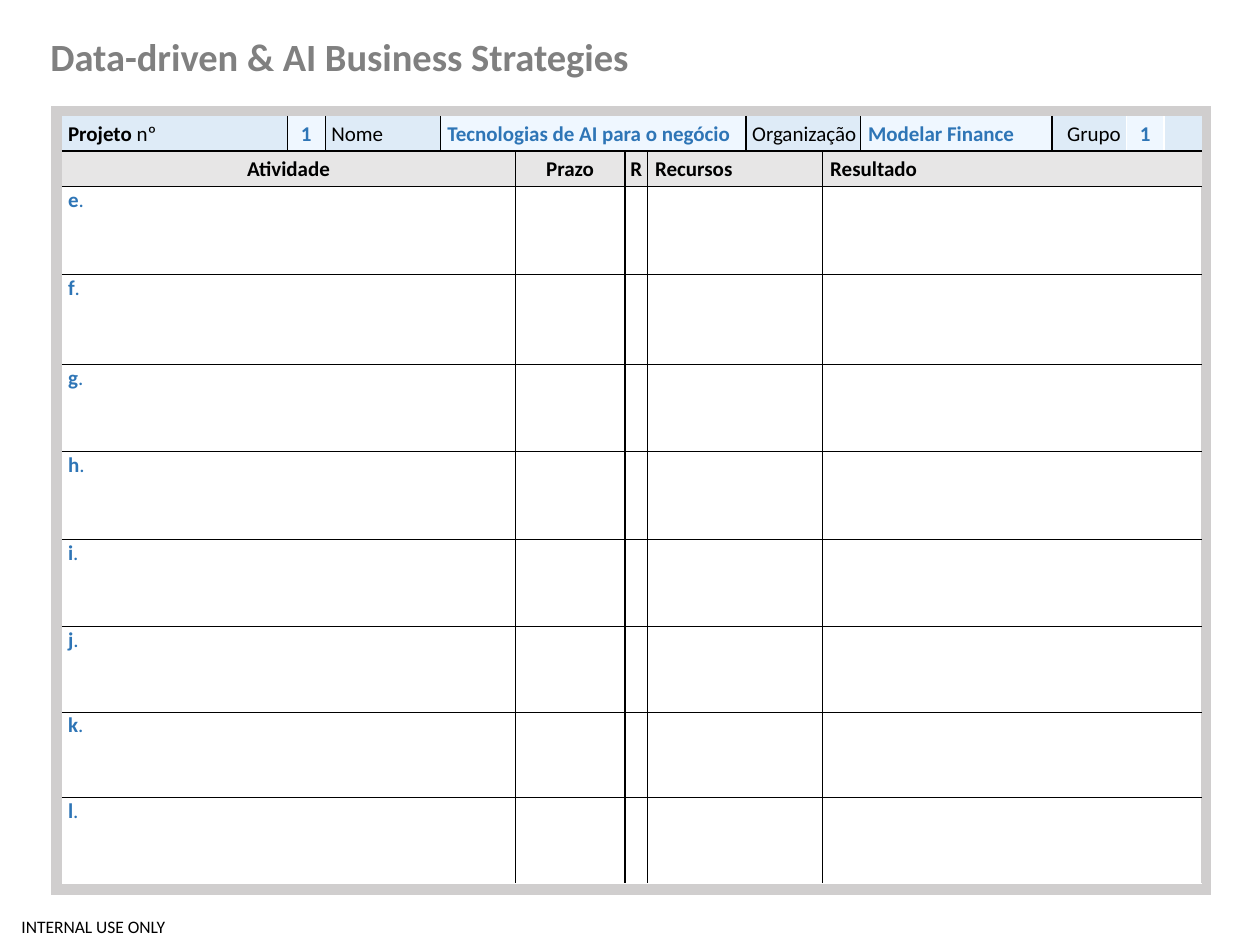
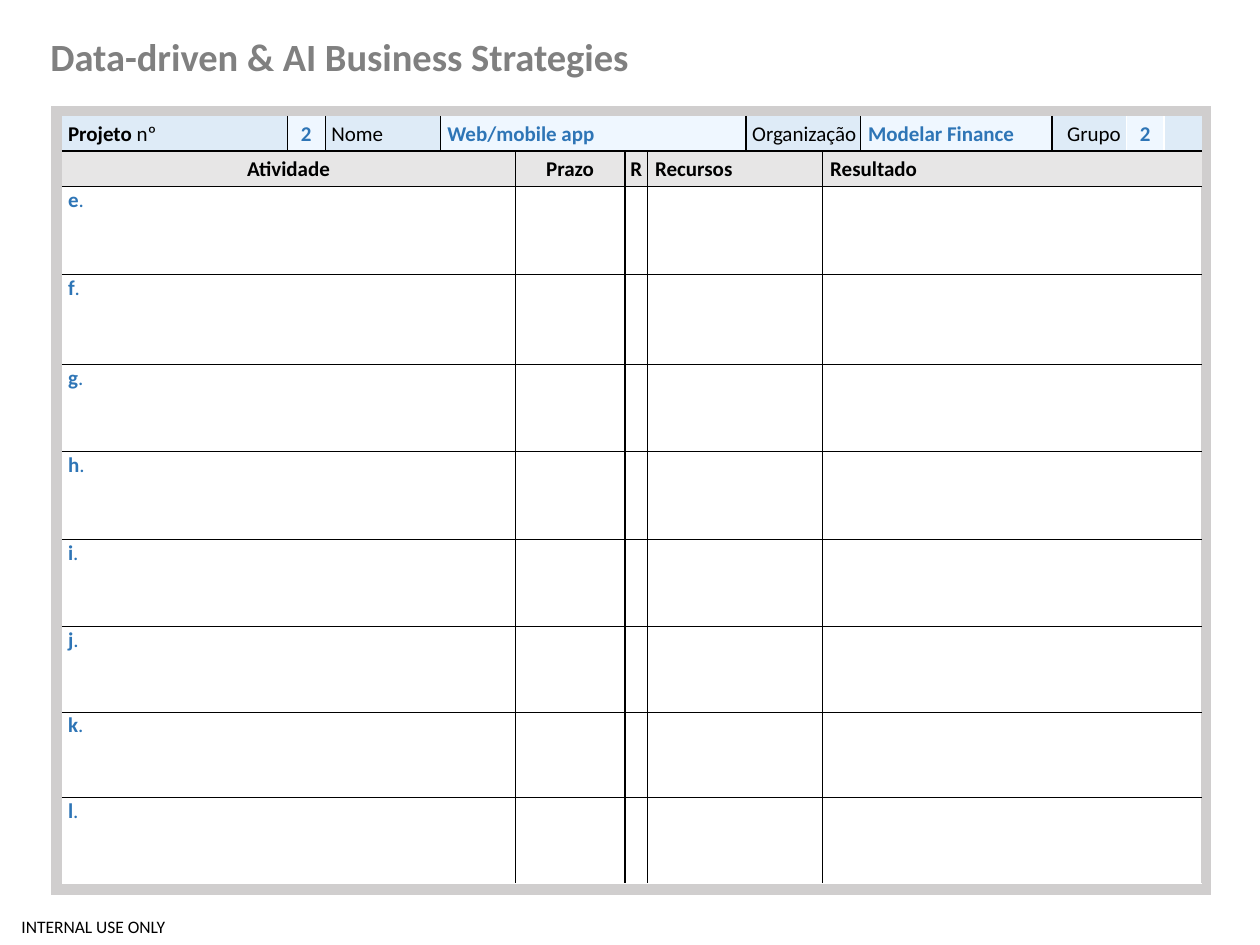
"""Build two activity-plan slides, one per project, on a shared table grid."""
from dataclasses import dataclass
from typing import NamedTuple, Optional

import lxml.etree
import pptx
import pptx.dml.color
import pptx.enum.shapes
import pptx.enum.text
import pptx.oxml.ns
import pptx.presentation
import pptx.shapes.base
import pptx.slide
import pptx.table
import pptx.text.text
import pptx.util

Inches = pptx.util.Inches
Pt = pptx.util.Pt
Align = pptx.enum.text.PP_ALIGN
Anchor = pptx.enum.text.MSO_ANCHOR
qn = pptx.oxml.ns.qn


@dataclass(frozen=True)
class Theme:
    """Colours, type sizes and line widths used on every slide."""
    font: str = "Calibri"
    ink: str = "000000"
    paper: str = "FFFFFF"
    title: str = "808080"
    frame: str = "D0CECE"
    accent: str = "2E75B6"
    label: str = "DEEBF7"
    entry: str = "EFF7FF"
    header: str = "E7E6E6"
    title_size: float = 22
    table_size: float = 12
    footer_size: float = 10
    frame_width: float = 6


class Box(NamedTuple):
    """A rectangle given in inches."""
    left: float
    top: float
    width: float
    height: float


class Edge(NamedTuple):
    """A cell border."""
    colour: str
    width: float


class Piece(NamedTuple):
    """A stretch of text in one weight."""
    text: str
    bold: bool = False


THEME = Theme()
THICK = Edge(THEME.ink, 1)
THIN = Edge(THEME.ink, 0.25)
HIDDEN = Edge(THEME.paper, 1)
HIDDEN_THIN = Edge(THEME.paper, 0.25)


@dataclass(frozen=True)
class Field:
    """A table cell, its span and the border on its right."""
    pieces: tuple[Piece, ...] = ()
    span: int = 1
    fill: Optional[str] = None
    colour: str = THEME.ink
    indent: float = 0
    centred: bool = False
    right: Optional[Edge] = THICK
    anchor: Anchor = Anchor.MIDDLE


class Row(NamedTuple):
    """A table row and the border below it."""
    height: float
    fields: list[Field]
    below: Edge


class Project(NamedTuple):
    """The entries that differ between slides."""
    number: str
    name: str
    group: str


SLIDE_WIDTH, SLIDE_HEIGHT = 10, 7.5
TITLE = "Data-driven & AI Business Strategies"
FOOTER = "INTERNAL USE ONLY"
ORGANISATION = "Modelar Finance"
PROJECTS = [
    Project("1", "Tecnologias de AI para o negócio", "1"),
    Project("2", "Web/mobile app", "2"),
]
TITLE_BOX = Box(0.3, 0.21, 4.98, 0.47)
FRAME_BOX = Box(0.45, 0.88, 9.12, 6.18)
FOOTER_BOX = Box(0, 7.21, 1.48, 0.29)
TABLE_ORIGIN = (0.49, 0.92)
COLUMNS = [1.79, 0.3, 0.91, 0.6, 0.87, 0.18, 0.78, 0.61, 0.3, 1.52, 0.59, 0.3, 0.3]
HEADING_HEIGHT = 0.28
ACTIVITIES = dict(zip("efghijkl", [0.7, 0.71, 0.69, 0.7, 0.69, 0.68, 0.68, 0.68]))
BODY_SPANS = [4, 1, 1, 2, 5]
LABEL_INDENT, ENTRY_INDENT, GROUP_INDENT = 0.04, 0.05, 0.11
NO_GRID_STYLE = "{2D5ABB26-0587-4C30-8999-92F81FD0307C}"


def rgb(colour: str) -> pptx.dml.color.RGBColor:
    """Turn a hex string into a colour."""
    return pptx.dml.color.RGBColor.from_string(colour)


def emu(box: Box) -> list[int]:
    """Convert a box to drawing units."""
    return [Inches(length) for length in box]


def style_run(run: pptx.text.text._Run, size: float, colour: str, bold: bool = False) -> None:
    """Apply the shared font with a size, colour and weight."""
    run.font.name = THEME.font
    run.font.size = Pt(size)
    run.font.bold = bold
    run.font.color.rgb = rgb(colour)


def label(text: str, indent: float = LABEL_INDENT, right: Edge = THIN, span: int = 1) -> Field:
    """Describe a caption in the project row."""
    return Field((Piece(text),), span, THEME.label, indent=indent, right=right)


def entry(text: str, span: int = 1, centred: bool = False, right: Edge = THICK) -> Field:
    """Describe a filled-in value in the project row."""
    return Field((Piece(text, True),), span, THEME.entry, THEME.accent,
                 0 if centred else ENTRY_INDENT, centred, right)


def project_row(project: Project) -> Row:
    """Describe the row that identifies the project."""
    return Row(HEADING_HEIGHT, [
        Field((Piece("Projeto ", True), Piece("nº")), fill=THEME.label,
              indent=LABEL_INDENT, right=THIN),
        entry(project.number, centred=True, right=THIN),
        label("Nome"),
        entry(project.name, span=4),
        label("Organização", span=2),
        entry(ORGANISATION),
        label("Grupo", GROUP_INDENT, HIDDEN),
        entry(project.group, centred=True, right=HIDDEN),
        Field(fill=THEME.label, right=None),
    ], THICK)


def heading_row() -> Row:
    """Describe the column headings."""
    headings = ["Atividade", "Prazo", "R", "Recursos", "Resultado"]
    fields = []
    for heading, span in zip(headings, BODY_SPANS):
        centred = not heading.startswith("Re")
        fields.append(Field((Piece(heading, True),), span, THEME.header,
                            indent=0 if centred else ENTRY_INDENT, centred=centred,
                            right=None if heading == headings[-1] else THICK))
    return Row(HEADING_HEIGHT, fields, THIN)


def activity_row(letter: str, height: float) -> Row:
    """Describe an empty activity line with its letter."""
    first, *middle, last = BODY_SPANS
    fields = [Field((Piece(letter, True), Piece(".")), first, colour=THEME.accent,
                    indent=LABEL_INDENT, anchor=Anchor.TOP)]
    fields += [Field(span=span) for span in middle]
    fields.append(Field(span=last, right=None))
    return Row(height, fields, HIDDEN_THIN if letter == max(ACTIVITIES) else THIN)


def draw_edge(cell: pptx.table._Cell, tag: str, edge: Optional[Edge]) -> None:
    """Add one border to a cell, or an empty one."""
    line = lxml.etree.SubElement(cell._tc.get_or_add_tcPr(), qn(tag))
    if edge is None:
        line.set("w", "0")
        lxml.etree.SubElement(line, qn("a:noFill"))
        return
    line.set("w", str(Pt(edge.width)))
    fill = lxml.etree.SubElement(line, qn("a:solidFill"))
    lxml.etree.SubElement(fill, qn("a:srgbClr")).set("val", edge.colour)


def draw_field(cell: pptx.table._Cell, field: Field, edges: dict[str, Optional[Edge]]) -> None:
    """Fill a cell with its text, borders and colour."""
    cell.margin_left = cell.margin_right = cell.margin_top = Inches(0.01)
    cell.margin_bottom = 0
    cell.vertical_anchor = field.anchor
    for tag, edge in edges.items():
        draw_edge(cell, tag, edge)
    if field.fill:
        cell.fill.solid()
        cell.fill.fore_color.rgb = rgb(field.fill)
    else:
        cell.fill.background()
    paragraph = cell.text_frame.paragraphs[0]
    paragraph.alignment = Align.CENTER if field.centred else Align.LEFT
    paragraph._p.get_or_add_pPr().set("marL", str(Inches(field.indent)))
    for piece in field.pieces:
        run = paragraph.add_run()
        run.text = piece.text
        style_run(run, THEME.table_size, field.colour, piece.bold)
    if not field.pieces:
        end = lxml.etree.SubElement(paragraph._p, qn("a:endParaRPr"))
        end.set("sz", str(int(THEME.table_size * 100)))


def draw_plan(slide: pptx.slide.Slide, project: Project) -> None:
    """Draw the activity plan as one table."""
    rows = [project_row(project), heading_row()]
    rows += [activity_row(letter, height) for letter, height in ACTIVITIES.items()]
    box = Box(*TABLE_ORIGIN, sum(COLUMNS), sum(row.height for row in rows))
    graphic = slide.shapes.add_table(len(rows), len(COLUMNS), *emu(box))
    plan = graphic.table
    plan.first_row = plan.horz_banding = False
    plan._tbl.tblPr.find(qn("a:tableStyleId")).text = NO_GRID_STYLE
    for column, width in zip(plan.columns, COLUMNS):
        column.width = Inches(width)
    above = None
    for index, row in enumerate(rows):
        plan.rows[index].height = Inches(row.height)
        start, left = 0, None
        for field in row.fields:
            cell = plan.cell(index, start)
            if field.span > 1:
                cell.merge(plan.cell(index, start + field.span - 1))
            draw_field(cell, field, {"a:lnL": left, "a:lnR": field.right,
                                     "a:lnT": above, "a:lnB": row.below})
            start, left = start + field.span, field.right
        above = row.below


def draw_frame(slide: pptx.slide.Slide) -> None:
    """Draw the grey outline around the plan."""
    frame = slide.shapes.add_shape(pptx.enum.shapes.MSO_SHAPE.RECTANGLE, *emu(FRAME_BOX))
    frame.shadow.inherit = False
    frame.fill.background()
    frame.line.color.rgb = rgb(THEME.frame)
    frame.line.width = Pt(THEME.frame_width)
    lxml.etree.SubElement(frame.line._get_or_add_ln(), qn("a:miter")).set("lim", "800000")


def draw_title(slide: pptx.slide.Slide) -> None:
    """Place and format the title placeholder."""
    title = slide.shapes.title
    title.left, title.top, title.width, title.height = emu(TITLE_BOX)
    frame = title.text_frame
    frame.text = TITLE
    frame.vertical_anchor = Anchor.TOP
    frame.auto_size = pptx.enum.text.MSO_AUTO_SIZE.NONE
    paragraph = frame.paragraphs[0]
    paragraph.alignment = Align.LEFT
    paragraph.space_after = Pt(2)
    style_run(paragraph.runs[0], THEME.title_size, THEME.title, True)


def draw_footer(slide: pptx.slide.Slide) -> None:
    """Write the confidentiality note, indented from the slide's edge."""
    frame = slide.shapes.add_textbox(*emu(FOOTER_BOX)).text_frame
    frame.text = FOOTER
    frame.word_wrap = True
    frame.vertical_anchor = Anchor.MIDDLE
    frame.margin_left = frame.margin_right = frame.margin_top = frame.margin_bottom = 0
    paragraph = frame.paragraphs[0]
    paragraph.alignment = Align.CENTER
    style_run(paragraph.runs[0], THEME.footer_size, THEME.ink)


def main() -> None:
    """Build and save the presentation."""
    deck = pptx.Presentation()
    deck.slide_width, deck.slide_height = Inches(SLIDE_WIDTH), Inches(SLIDE_HEIGHT)
    for project in PROJECTS:
        slide = deck.slides.add_slide(deck.slide_layouts.get_by_name("Title Only"))
        draw_footer(slide)
        draw_frame(slide)
        draw_title(slide)
        draw_plan(slide, project)
    deck.save("out.pptx")


if __name__ == "__main__":
    main()
